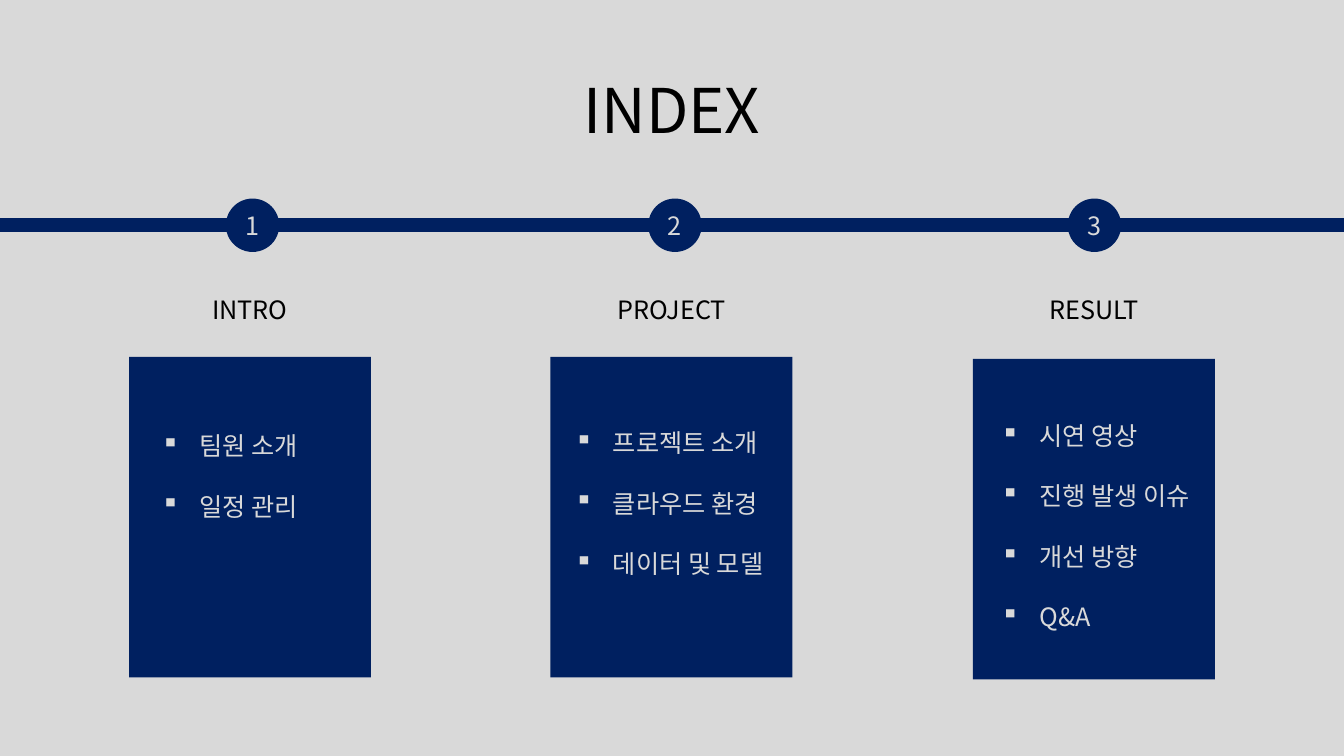
from lxml import etree
from pptx import Presentation
from pptx.dml.color import RGBColor
from pptx.enum import shapes, text
from pptx.oxml import ns
from pptx.util import Inches, Pt

FONT = "Noto Sans CJK KR"
HEX = {"back": "D9D9D9", "navy": "002060", "black": "000000"}
RGB = {name: RGBColor.from_string(code) for name, code in HEX.items()}

deck = Presentation()
deck.slide_width, deck.slide_height = Inches(13.33), Inches(7.5)
slide = deck.slides.add_slide(deck.slide_layouts[6])
slide.background.fill.solid()
slide.background.fill.fore_color.rgb = RGB["back"]


def write(shape, lines, color, size=18, bullet=False):
    frame = shape.text_frame
    frame.word_wrap = True
    for i, line in enumerate(lines):
        para = frame.add_paragraph() if i else frame.paragraphs[0]
        if bullet:
            props = para._p.get_or_add_pPr()
            props.set("marL", str(Inches(0.38)))
            props.set("indent", str(-Inches(0.38)))
            para.space_before = Pt(21.6 if i else 0)
            etree.SubElement(props, ns.qn("a:buChar")).set("char", "▪")
        else:
            para.alignment = text.PP_ALIGN.CENTER
        run = para.add_run()
        run.text = line
        run.font.size = Pt(size)
        run.font.name = FONT
        run.font.color.rgb = RGB[color]
        east = etree.SubElement(run.font._element, ns.qn("a:ea"))
        east.set("typeface", FONT)


def block(kind, left, top, width, height):
    shape = slide.shapes.add_shape(
        kind, Inches(left), Inches(top), Inches(width), Inches(height))
    shape.shadow.inherit = False
    shape.fill.solid()
    shape.fill.fore_color.rgb = RGB["navy"]
    shape.line.fill.background()
    return shape


# Title
title = slide.shapes.add_textbox(0, Inches(0.4), Inches(13.33), Inches(1.45))
write(title, ["INDEX"], "black", 44)
title.text_frame.vertical_anchor = text.MSO_ANCHOR.MIDDLE
title.text_frame.paragraphs[0].line_spacing = 0.9

# Timeline
rail = slide.shapes.add_connector(
    shapes.MSO_CONNECTOR.STRAIGHT, 0, Inches(2.23), Inches(13.33), Inches(2.23))
rail.line.color.rgb = RGB["navy"]
rail.line.width = Pt(10)
etree.SubElement(rail._element.spPr, ns.qn("a:effectLst"))

# Parts: heading, card left, card top, dot left, list box, items
parts = [
    ("INTRO", 1.28, 3.54, 2.24, (1.5, 4.22, 2.05, 1.01),
     ["팀원 소개", "일정 관리"]),
    ("PROJECT", 5.46, 3.54, 6.43, (5.6, 4.19, 2.19, 2.52),
     ["프로젝트 소개", "클라우드 환경", "데이터 및 모델"]),
    ("RESULT", 9.65, 3.56, 10.59, (9.83, 4.12, 2.23, 2.22),
     ["시연 영상", "진행 발생 이슈", "개선 방향", "Q&A"]),
]
for num, (name, left, top, dot_x, area, items) in enumerate(parts, 1):
    # Numbered dot
    dot = block(shapes.MSO_SHAPE.FLOWCHART_CONNECTOR, dot_x, 1.97, 0.53, 0.53)
    write(dot, [str(num)], "back")
    dot.text_frame.vertical_anchor = text.MSO_ANCHOR.MIDDLE

    # Heading
    head = slide.shapes.add_textbox(
        Inches(left), Inches(2.87), Inches(2.4), Inches(0.4))
    write(head, [name], "black")

    # Card and its list
    block(shapes.MSO_SHAPE.RECTANGLE, left, top, 2.4, 3.18)
    points = slide.shapes.add_textbox(*map(Inches, area))
    write(points, items, "back", bullet=True)

deck.save("out.pptx")
